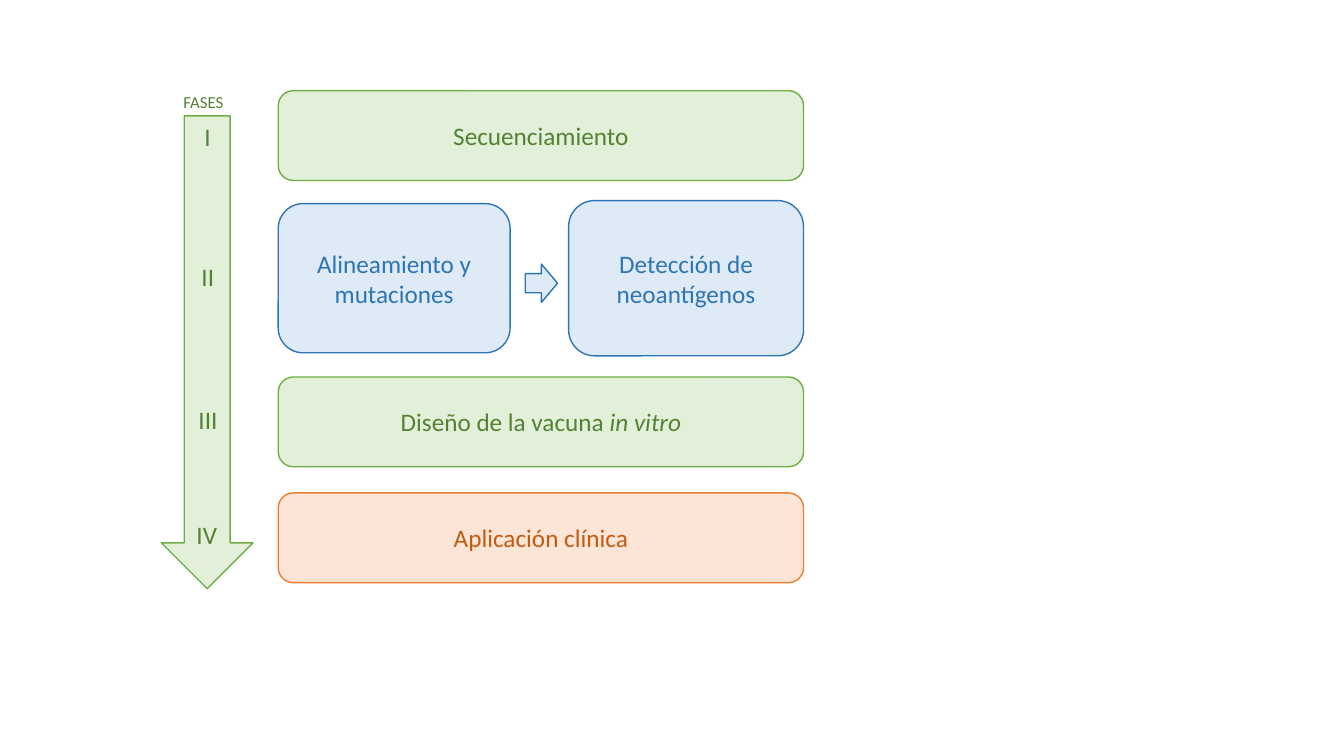
from pptx import Presentation
from pptx.dml.color import RGBColor
from pptx.enum.shapes import MSO_SHAPE
from pptx.enum.text import MSO_ANCHOR, MSO_AUTO_SIZE, PP_ALIGN
from pptx.util import Inches, Pt

ROUNDED = MSO_SHAPE.ROUNDED_RECTANGLE
DOWN_ARROW = MSO_SHAPE.DOWN_ARROW
RIGHT_ARROW = MSO_SHAPE.RIGHT_ARROW
MIDDLE = MSO_ANCHOR.MIDDLE
GROW = MSO_AUTO_SIZE.SHAPE_TO_FIT_TEXT
LEFT = PP_ALIGN.LEFT
CENTER = PP_ALIGN.CENTER

GREEN_FILL = RGBColor(0xE2, 0xF0, 0xD9)
GREEN_LINE = RGBColor(0x70, 0xAD, 0x47)
GREEN_TEXT = RGBColor(0x54, 0x82, 0x35)
BLUE_FILL = RGBColor(0xDE, 0xEB, 0xF7)
BLUE_LINE = RGBColor(0x2E, 0x75, 0xB6)
ORANGE_FILL = RGBColor(0xFB, 0xE5, 0xD6)
ORANGE_LINE = RGBColor(0xED, 0x7D, 0x31)
ORANGE_TEXT = RGBColor(0xC5, 0x5A, 0x11)

GREEN = (GREEN_FILL, GREEN_LINE, GREEN_TEXT)
BLUE = (BLUE_FILL, BLUE_LINE, BLUE_LINE)
ORANGE = (ORANGE_FILL, ORANGE_LINE, ORANGE_TEXT)

STEP_LEFT, STEP_WIDTH, STEP_HEIGHT = 2.76, 5.21, 0.89


def write(paragraph, text, *, color, size=18, align=LEFT, italic=None):
    paragraph.alignment = align
    run = paragraph.add_run()
    run.text = text
    run.font.name = "Calibri"
    run.font.size = Pt(size)
    run.font.color.rgb = color
    run.font.italic = italic


def add_block(slide, kind, bounds, palette):
    block = slide.shapes.add_shape(kind, *map(Inches, bounds))
    fill, line, _ = palette
    block.shadow.inherit = False
    block.fill.solid()
    block.fill.fore_color.rgb = fill
    block.line.color.rgb = line
    block.line.width = Pt(1)
    return block


def add_step(slide, bounds, palette, text, italic_text=None):
    frame = add_block(slide, ROUNDED, bounds, palette).text_frame
    frame.word_wrap = True
    frame.vertical_anchor = MIDDLE
    paragraph = frame.paragraphs[0]
    write(paragraph, text, color=palette[2], align=CENTER)
    if italic_text:
        write(paragraph, italic_text, color=palette[2], align=CENTER, italic=True)


def add_label(slide, bounds, text, size=18):
    frame = slide.shapes.add_textbox(*map(Inches, bounds)).text_frame
    frame.word_wrap = True
    frame.auto_size = GROW
    write(frame.paragraphs[0], text, color=GREEN_TEXT, size=size)


def main():
    deck = Presentation()
    deck.slide_width, deck.slide_height = Inches(13.33), Inches(7.5)
    slide = deck.slides.add_slide(deck.slide_layouts[6])

    for top, palette, *texts in (
        (0.9, GREEN, "Secuenciamiento"),
        (3.74, GREEN, "Diseño de la vacuna ", "in vitro"),
        (4.89, ORANGE, "Aplicación clínica"),
    ):
        add_step(slide, (STEP_LEFT, top, STEP_WIDTH, STEP_HEIGHT), palette, *texts)

    add_step(slide, (STEP_LEFT, 2.02, 2.3, 1.48), BLUE, "Alineamiento y mutaciones")
    add_step(slide, (5.64, 1.99, 2.33, 1.54), BLUE, "Detección de neoantígenos")

    add_block(slide, DOWN_ARROW, (1.6, 1.15, 0.91, 4.69), GREEN)
    add_block(slide, RIGHT_ARROW, (5.21, 2.62, 0.32, 0.38), BLUE)

    for phase, left, top, width in (
        ("I", 1.93, 1.15, 0.34),
        ("II", 1.9, 2.54, 0.34),
        ("III", 1.87, 3.96, 0.42),
        ("IV", 1.85, 5.1, 0.42),
    ):
        add_label(slide, (left, top, width, 0.4), phase)
    add_label(slide, (1.72, 0.86, 0.98, 0.3), "FASES", size=12)

    deck.save("out.pptx")


if __name__ == "__main__":
    main()
